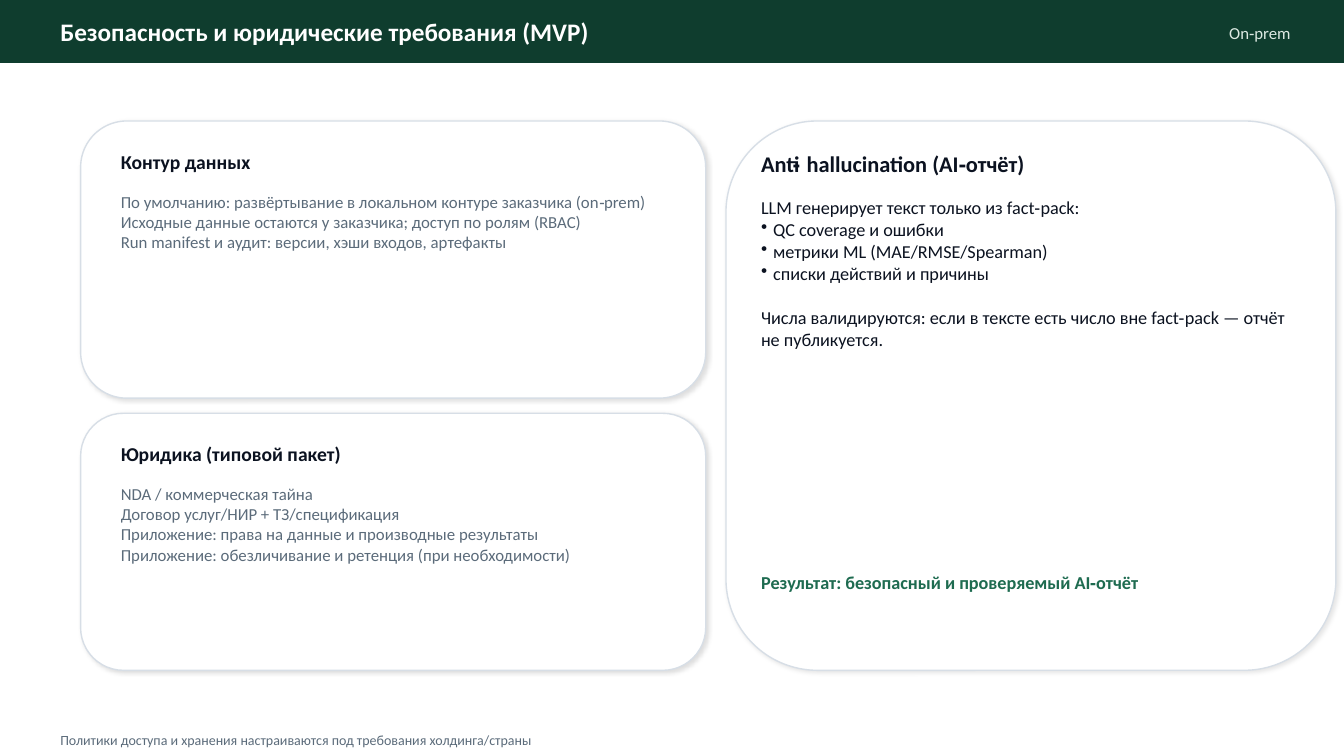
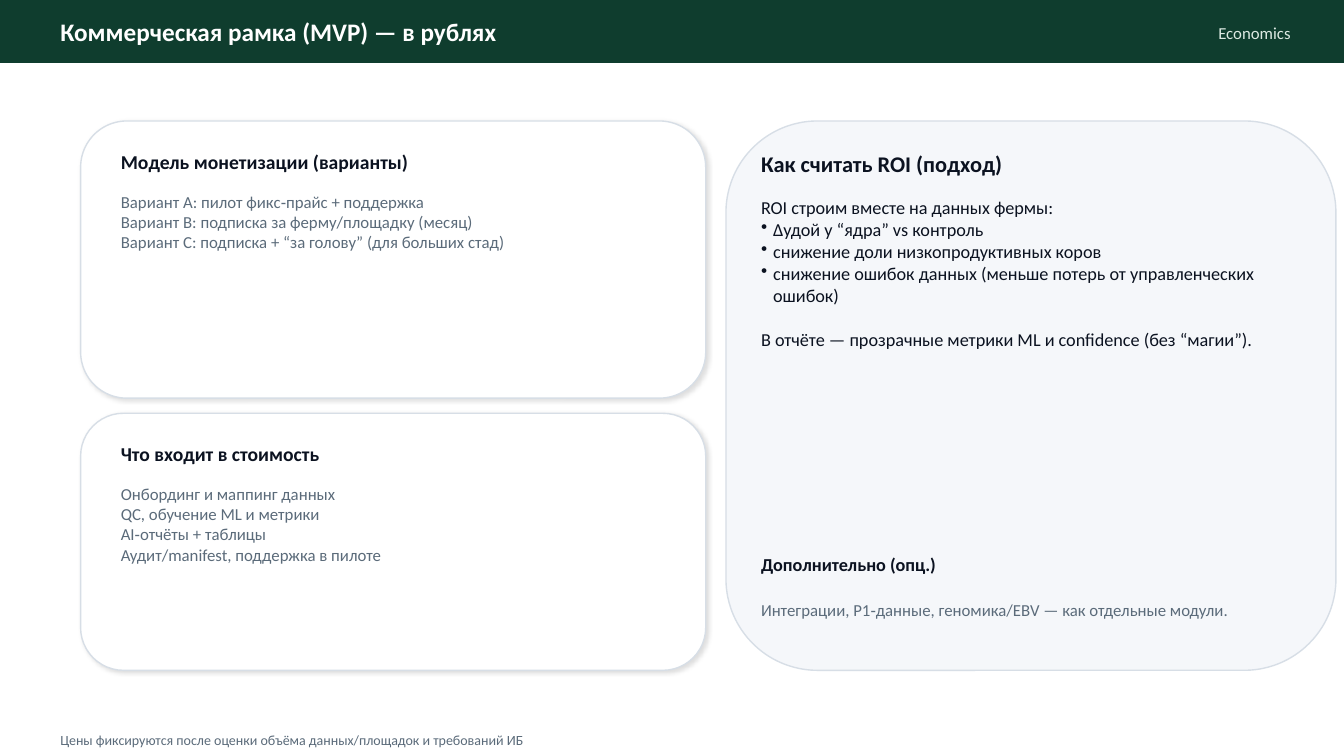
from dataclasses import dataclass
from typing import Optional

from lxml import etree
from pptx import Presentation
from pptx.dml.color import RGBColor
from pptx.enum.shapes import MSO_SHAPE
from pptx.enum.text import MSO_ANCHOR, PP_ALIGN
from pptx.oxml.ns import qn
from pptx.util import Inches, Pt

RECT = MSO_SHAPE.RECTANGLE
ROUND = MSO_SHAPE.ROUNDED_RECTANGLE
TOP, MIDDLE = MSO_ANCHOR.TOP, MSO_ANCHOR.MIDDLE
LEFT, RIGHT = PP_ALIGN.LEFT, PP_ALIGN.RIGHT


@dataclass(frozen=True)
class Theme:
    font: str = "Calibri"
    band: str = "0F3D2E"
    white: str = "FFFFFF"
    pale: str = "DCE9E2"
    ink: str = "0B1220"
    muted: str = "5B6B7A"
    edge: str = "D7DEE6"
    tint: str = "F5F7FA"
    accent: str = "1E6B50"
    title: int = 18
    panel: int = 16
    head: int = 14
    body: int = 13
    small: int = 12
    foot: int = 10


THEME = Theme()


@dataclass(frozen=True)
class Box:
    left: float
    top: float
    width: float
    height: float


@dataclass(frozen=True)
class Style:
    size: int
    color: str
    bold: bool = False
    anchor: MSO_ANCHOR = MIDDLE
    align: PP_ALIGN = LEFT


@dataclass(frozen=True)
class Line:
    text: str
    bullet: bool = False
    before: float = 0


@dataclass(frozen=True)
class Shadow:
    alpha: int
    blur: float
    dist: float


@dataclass(frozen=True)
class Card:
    head: str
    lines: tuple[str, ...]


@dataclass(frozen=True)
class Note:
    box: Box
    text: str
    style: Style


@dataclass(frozen=True)
class Panel:
    head: str
    intro: str
    points: tuple[str, ...]
    close: str
    notes: tuple[Note, ...]
    fill: str = THEME.white
    shadow: Optional[Shadow] = None


@dataclass(frozen=True)
class Page:
    title: str
    tag: str
    cards: tuple[Card, Card]
    panel: Panel
    foot: str


TITLE = Style(THEME.title, THEME.white, bold=True)
TAG = Style(THEME.small, THEME.pale, align=RIGHT)
CARD_HEAD = Style(THEME.head, THEME.ink, bold=True)
CARD_BODY = Style(THEME.small, THEME.muted, anchor=TOP)
PANEL_HEAD = Style(THEME.panel, THEME.ink, bold=True)
PANEL_BODY = Style(THEME.body, THEME.ink, anchor=TOP)
RESULT = Style(THEME.body, THEME.accent, bold=True)
EXTRA = Style(THEME.body, THEME.ink, bold=True)
DETAIL = Style(THEME.small, THEME.muted)
FOOT = Style(THEME.foot, THEME.muted)

WIDTH, HEIGHT = 13.33, 7.5
CARDS = (Box(0.8, 1.2, 6.2, 2.75), Box(0.8, 4.1, 6.2, 2.55))
PANEL = Box(7.2, 1.2, 6.05, 5.45)
CARD_SHADOW = Shadow(12, 3, 1.5)
PANEL_SHADOW = Shadow(10, 3, 1.2)
TEXT_LEFT, TEXT_WIDTH = 7.45, 5.6
HANG = 0.12
GAP = 16

PAGES = (
    Page(
        "Безопасность и юридические требования (MVP)",
        "On‑prem",
        (
            Card("Контур данных", (
                "По умолчанию: развёртывание в локальном контуре заказчика (on‑prem)",
                "Исходные данные остаются у заказчика; доступ по ролям (RBAC)",
                "Run manifest и аудит: версии, хэши входов, артефакты",
            )),
            Card("Юридика (типовой пакет)", (
                "NDA / коммерческая тайна",
                "Договор услуг/НИР + ТЗ/спецификация",
                "Приложение: права на данные и производные результаты",
                "Приложение: обезличивание и ретенция (при необходимости)",
            )),
        ),
        Panel(
            "Anti‑hallucination (AI‑отчёт)",
            "LLM генерирует текст только из fact‑pack:",
            (
                "QC coverage и ошибки",
                "метрики ML (MAE/RMSE/Spearman)",
                "списки действий и причины",
            ),
            "Числа валидируются: если в тексте есть число вне fact‑pack — отчёт не публикуется.",
            (
                Note(Box(TEXT_LEFT, 5.6, TEXT_WIDTH, 0.35),
                     "Результат: безопасный и проверяемый AI‑отчёт", RESULT),
            ),
            shadow=PANEL_SHADOW,
        ),
        "Политики доступа и хранения настраиваются под требования холдинга/страны",
    ),
    Page(
        "Коммерческая рамка (MVP) — в рублях",
        "Economics",
        (
            Card("Модель монетизации (варианты)", (
                "Вариант A: пилот фикс‑прайс + поддержка",
                "Вариант B: подписка за ферму/площадку (месяц)",
                "Вариант C: подписка + “за голову” (для больших стад)",
            )),
            Card("Что входит в стоимость", (
                "Онбординг и маппинг данных",
                "QC, обучение ML и метрики",
                "AI‑отчёты + таблицы",
                "Аудит/manifest, поддержка в пилоте",
            )),
        ),
        Panel(
            "Как считать ROI (подход)",
            "ROI строим вместе на данных фермы:",
            (
                "Δудой у “ядра” vs контроль",
                "снижение доли низкопродуктивных коров",
                "снижение ошибок данных (меньше потерь от управленческих ошибок)",
            ),
            "В отчёте — прозрачные метрики ML и confidence (без “магии”).",
            (
                Note(Box(TEXT_LEFT, 5.45, TEXT_WIDTH, 0.3),
                     "Дополнительно (опц.)", EXTRA),
                Note(Box(TEXT_LEFT, 5.75, TEXT_WIDTH, 0.6),
                     "Интеграции, P1‑данные, геномика/EBV — как отдельные модули.", DETAIL),
            ),
            fill=THEME.tint,
        ),
        "Цены фиксируются после оценки объёма данных/площадок и требований ИБ",
    ),
)


def place(box: Box) -> tuple[int, int, int, int]:
    return Inches(box.left), Inches(box.top), Inches(box.width), Inches(box.height)


def cast(shape, shadow: Shadow) -> None:
    """Give the shape a soft black shadow falling to the lower right."""
    effects = shape._element.spPr.find(qn("a:effectLst"))
    outer = etree.SubElement(
        effects, qn("a:outerShdw"), blurRad=str(Pt(shadow.blur)),
        dist=str(Pt(shadow.dist)), dir=str(45 * 60000),
        algn="tl", rotWithShape="0")
    color = etree.SubElement(outer, qn("a:srgbClr"), val="000000")
    etree.SubElement(color, qn("a:alpha"), val=str(shadow.alpha * 1000))


def draw_shape(slide, kind: MSO_SHAPE, box: Box, fill: str, edge: str,
               shadow: Optional[Shadow] = None) -> None:
    shape = slide.shapes.add_shape(kind, *place(box))
    shape.fill.solid()
    shape.fill.fore_color.rgb = RGBColor.from_string(fill)
    shape.line.color.rgb = RGBColor.from_string(edge)
    shape.line.width = Pt(1)
    shape.shadow.inherit = False
    if shadow:
        cast(shape, shadow)


def add_bullet(para) -> None:
    props = para._p.get_or_add_pPr()
    props.set("marL", str(Inches(HANG)))
    props.set("indent", str(-Inches(HANG)))
    etree.SubElement(props, qn("a:buChar"), char="•")


def draw_text(slide, box: Box, lines: list[Line], style: Style) -> None:
    frame = slide.shapes.add_textbox(*place(box)).text_frame
    frame.word_wrap = True
    frame.vertical_anchor = style.anchor
    for index, line in enumerate(lines):
        para = frame.add_paragraph() if index else frame.paragraphs[0]
        para.alignment = style.align
        if line.before:
            para.space_before = Pt(line.before)
        if line.bullet:
            add_bullet(para)
        run = para.add_run()
        run.text = line.text
        font = run.font
        font.name = THEME.font
        font.size = Pt(style.size)
        font.bold = style.bold
        font.color.rgb = RGBColor.from_string(style.color)


def draw_frame(slide, page: Page) -> None:
    """Draw the top band with its title and tag, and the footer."""
    draw_shape(slide, RECT, Box(0, 0, WIDTH, 0.62), THEME.band, THEME.band)
    draw_text(slide, Box(0.5, 0.14, 9.6, 0.34), [Line(page.title)], TITLE)
    draw_text(slide, Box(10.1, 0.18, 2.8, 0.3), [Line(page.tag)], TAG)
    draw_text(slide, Box(0.5, 7.22, 12.33, 0.25), [Line(page.foot)], FOOT)


def draw_card(slide, box: Box, card: Card) -> None:
    draw_shape(slide, ROUND, box, THEME.white, THEME.edge, CARD_SHADOW)
    left, width = box.left + 0.3, box.width - 0.6
    draw_text(slide, Box(left, box.top + 0.25, width, 0.3),
              [Line(card.head)], CARD_HEAD)
    draw_text(slide, Box(left, box.top + 0.65, width, box.height - 0.9),
              [Line(text) for text in card.lines], CARD_BODY)


def draw_panel(slide, panel: Panel) -> None:
    draw_shape(slide, ROUND, PANEL, panel.fill, THEME.edge, panel.shadow)
    draw_text(slide, Box(TEXT_LEFT, 1.45, TEXT_WIDTH, 0.35),
              [Line(panel.head)], PANEL_HEAD)
    lines = [Line(panel.intro),
             *(Line(text, bullet=True) for text in panel.points),
             Line(panel.close, before=GAP)]
    draw_text(slide, Box(TEXT_LEFT, 1.9, TEXT_WIDTH, 3.4), lines, PANEL_BODY)
    for note in panel.notes:
        draw_text(slide, note.box, [Line(note.text)], note.style)


def main() -> None:
    deck = Presentation()
    deck.slide_width, deck.slide_height = Inches(WIDTH), Inches(HEIGHT)
    blank = deck.slide_layouts[6]
    for page in PAGES:
        slide = deck.slides.add_slide(blank)
        draw_frame(slide, page)
        for box, card in zip(CARDS, page.cards):
            draw_card(slide, box, card)
        draw_panel(slide, page.panel)
    deck.save("out.pptx")


if __name__ == "__main__":
    main()
